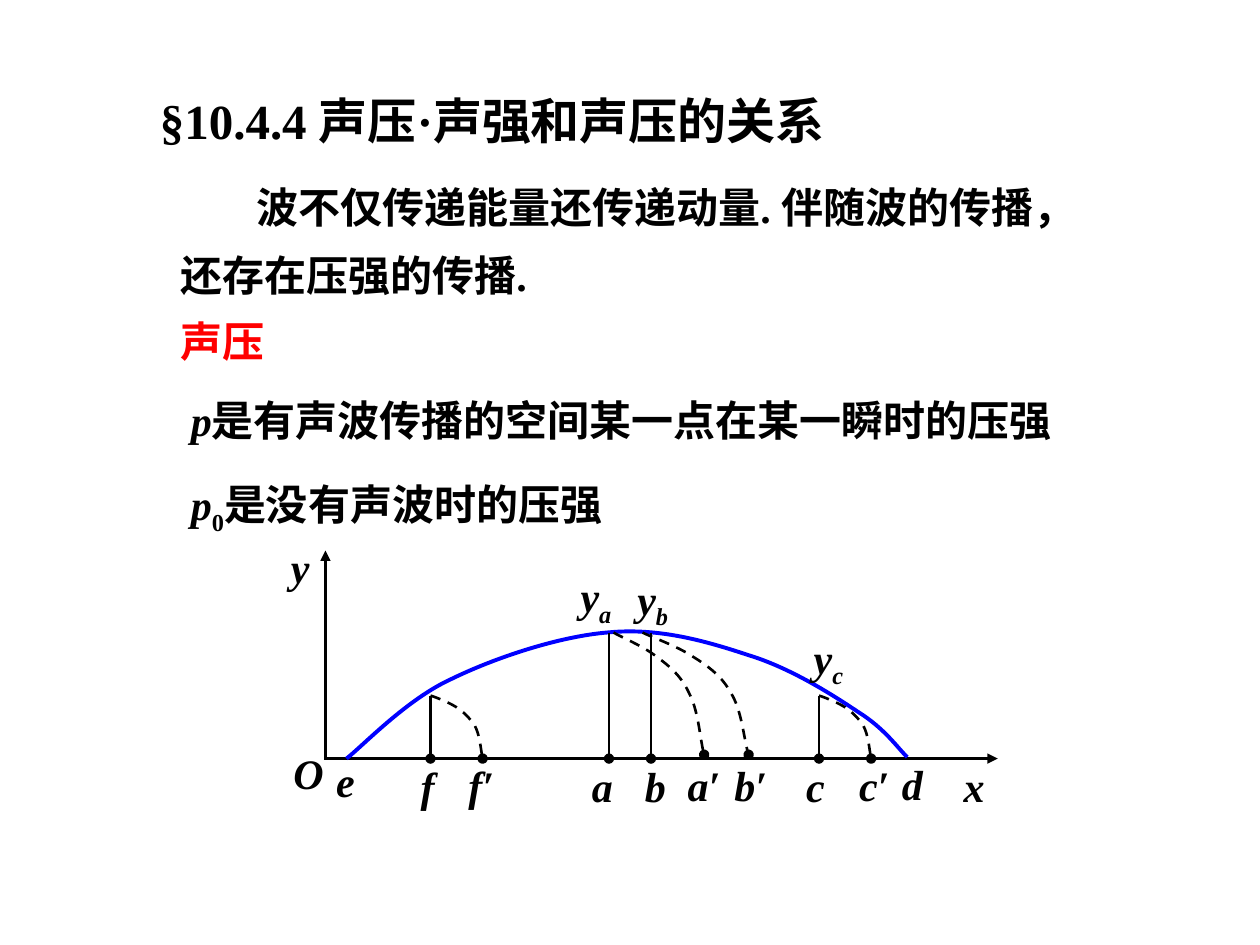
from dataclasses import dataclass
from lxml import etree
from pptx import Presentation
from pptx.dml.color import RGBColor
from pptx.enum.dml import MSO_LINE
from pptx.enum.shapes import MSO_CONNECTOR
from pptx.enum.text import MSO_ANCHOR, MSO_AUTO_SIZE, PP_ALIGN
from pptx.oxml.ns import qn
from pptx.util import Pt

STRAIGHT = MSO_CONNECTOR.STRAIGHT
DASH = MSO_LINE.DASH
TOP = MSO_ANCHOR.TOP
FIXED = MSO_AUTO_SIZE.NONE
LEFT = PP_ALIGN.LEFT


@dataclass(frozen=True)
class Theme:
    font: str = "Times New Roman"
    title_size: float = 28
    text_size: float = 24
    thin: float = 1.5
    thick: float = 2.25
    ink: RGBColor = RGBColor(0, 0, 0)
    accent: RGBColor = RGBColor(255, 0, 0)
    wave: RGBColor = RGBColor(0, 0, 255)


@dataclass(frozen=True)
class Box:
    left: float
    top: float
    width: float
    height: float

    def point(self, across, up):
        return Pt(self.left + across), Pt(self.top + self.height - up)


THEME = Theme()
ITALIC = {"italic": True}
SUBSCRIPT = {"baseline": "-25000"}

WAVE = [(12, 0), (22.1, 8), (46.6, 33.9), (71.8, 45.4), (97, 57.7),
        (133.7, 69.9), (161.8, 72.1), (190.6, 74.9), (217.9, 67),
        (241.7, 59.1), (265.4, 51.9), (289.2, 36.8), (304.3, 26.7),
        (319.4, 17.3), (326.6, 6.5), (332.4, 0.8)]
SHORT_ARC = [(0, 0), (2.3, -0.7), (10, -3.6), (14.6, -6.5), (18.9, -9.4),
             (22, -12.2), (25.4, -17.3), (28, -22.3), (28.9, -31.7), (29.8, -36)]
LONG_ARC = [(0, 0), (3.6, -2.2), (17.3, -7.9), (24.5, -13.7), (32.4, -19.4),
            (38.9, -25.2), (43.2, -34.6), (48.2, -43.9), (49.7, -62.6), (51.8, -69.8)]
STEMS = [(60, 36), (162, 72), (186, 72), (282, 36)]
ARCS = [(SHORT_ARC, 60, 36, 1), (LONG_ARC, 164.6, 72, 1),
        (SHORT_ARC, 282, 36, 1), (LONG_ARC, 181.2, 72, 1.17)]
LABELS = [("x", "", 357.6, 2.2, 26.6), ("y", "", -26.9, 127.5, 25.2),
          ("O", "", -25.4, 10.1, 31.7), ("e", "", -1, 5.1, 25.2),
          ("f", "", 47.3, 2.2, 22.3), ("f′", "", 74.6, 2.9, 34.6),
          ("y", "a", 138.7, 110.9, 33.1), ("y", "b", 171.1, 109.5, 33.1),
          ("a", "", 145.2, 2.2, 26.6), ("a′", "", 199.9, 2.9, 44.6),
          ("b", "", 175.4, 2.2, 26.6), ("b′", "", 226.6, 2.9, 38.2),
          ("y", "c", 271.9, 75.7, 32.4), ("c", "", 267.6, 2.2, 25.2),
          ("c′", "", 297.8, 2.9, 37.4), ("d", "", 322.3, 3.7, 26.6)]


def write_text(shape, spans, wrap=False, size=THEME.text_size, color=THEME.ink):
    frame = shape.text_frame
    frame_format = {"auto_size": FIXED, "word_wrap": wrap, "vertical_anchor": TOP}
    for name, value in frame_format.items():
        setattr(frame, name, value)
    para = frame.paragraphs[0]
    para.alignment = LEFT
    para.space_before = Pt(0)
    for text, extra in spans:
        span = para.add_run()
        span.text = text
        font_format = {"name": THEME.font, "size": Pt(size), "bold": True,
                       "italic": extra.get("italic", False)}
        for name, value in font_format.items():
            setattr(span.font, name, value)
        span.font.color.rgb = color
        if "baseline" in extra:
            span.font._element.set("baseline", extra["baseline"])
    return para


def place(shape, box):
    for name in ("left", "top", "width", "height"):
        setattr(shape, name, Pt(getattr(box, name)))


def add_text(shapes, box, spans, **style):
    shape = shapes.add_textbox(0, 0, 0, 0)
    place(shape, box)
    write_text(shape, spans, **style)


def style_line(shape, color=THEME.ink, width=THEME.thin, end="", dash=None):
    shape.line.color.rgb = color
    shape.line.width = Pt(width)
    if dash:
        shape.line.dash_style = dash
    if end:
        outline = shape._element.spPr.find(qn("a:ln"))
        etree.SubElement(outline, qn("a:tailEnd"), type=end)


def add_line(shapes, start, finish, end):
    line = shapes.add_connector(STRAIGHT, *start, *finish)
    style_line(line, end=end)
    etree.SubElement(line._element.spPr, qn("a:effectLst"))


def add_curve(shapes, points, **style):
    builder = shapes.build_freeform(*points[0])
    builder.add_line_segments(points[1:], close=False)
    curve = builder.convert_to_shape()
    curve.shadow.inherit = False
    curve.fill.background()
    style_line(curve, **style)
    segments = list(curve._element.iter(qn("a:lnTo")))
    for index in range(0, len(segments), 3):
        bezier = etree.Element(qn("a:cubicBezTo"))
        segments[index].addprevious(bezier)
        for segment in segments[index:index + 3]:
            bezier.append(segment[0])
            segment.getparent().remove(segment)


def add_title(page, box):
    title = page.shapes.title
    place(title, box)
    write_text(title, [("§10.4.4 声压·声强和声压的关系", {})], size=THEME.title_size)


def add_definitions(page, box):
    body = page.placeholders[1]
    place(body, Box(box.left, box.top, box.width, 85))
    para = write_text(
        body, [("波不仅传递能量还传递动量. 伴随波的传播，还存在压强的传播.", {})], wrap=True)
    para.line_spacing = 1.35
    properties = para._p.get_or_add_pPr()
    properties.set("marL", "0")
    properties.set("indent", str(Pt(43.5)))
    etree.SubElement(properties, qn("a:buNone"))
    add_text(page.shapes, Box(box.left, box.top + 87, 80.6, 36),
             [("声压", {})], color=THEME.accent)
    add_text(page.shapes, Box(box.left + 6.2, box.top + 131.8, 527, 36),
             [("p", ITALIC), ("是有声波传播的空间某一点在某一瞬时的压强", {})])
    add_text(page.shapes, Box(box.left + 6.2, box.top + 180, 269.3, 36),
             [("p", ITALIC), ("0", SUBSCRIPT), ("是没有声波时的压强", {})])


def add_wave_diagram(page, box):
    shapes = page.shapes.add_group_shape().shapes
    add_line(shapes, box.point(0, 0), box.point(box.width, 0), "triangle")
    add_line(shapes, box.point(0, -0.7), box.point(0, box.height), "triangle")
    add_curve(shapes, [box.point(*spot) for spot in WAVE],
              color=THEME.wave, width=THEME.thick)
    for across, up in STEMS:
        add_line(shapes, box.point(across, up), box.point(across, 0), "oval")
    for arc, across, up, stretch in ARCS:
        points = [box.point(across + stretch * dx, up + dy) for dx, dy in arc]
        add_curve(shapes, points, end="oval", dash=DASH)
    for letter, index, across, up, width in LABELS:
        spans = [(letter, ITALIC)]
        if index:
            spans.append((index, ITALIC | SUBSCRIPT))
        add_text(shapes, Box(box.left + across, box.top + box.height - up, width, 36), spans)


def main():
    deck = Presentation()
    deck.slide_width, deck.slide_height = Pt(720), Pt(540)
    page = deck.slides.add_slide(deck.slide_layouts[1])
    add_title(page, Box(84.2, 48.2, 422, 41))
    add_definitions(page, Box(95.8, 90, 540, 216))
    add_wave_diagram(page, Box(186, 314.6, 384.2, 118.9))
    deck.save("out.pptx")


if __name__ == "__main__":
    main()
